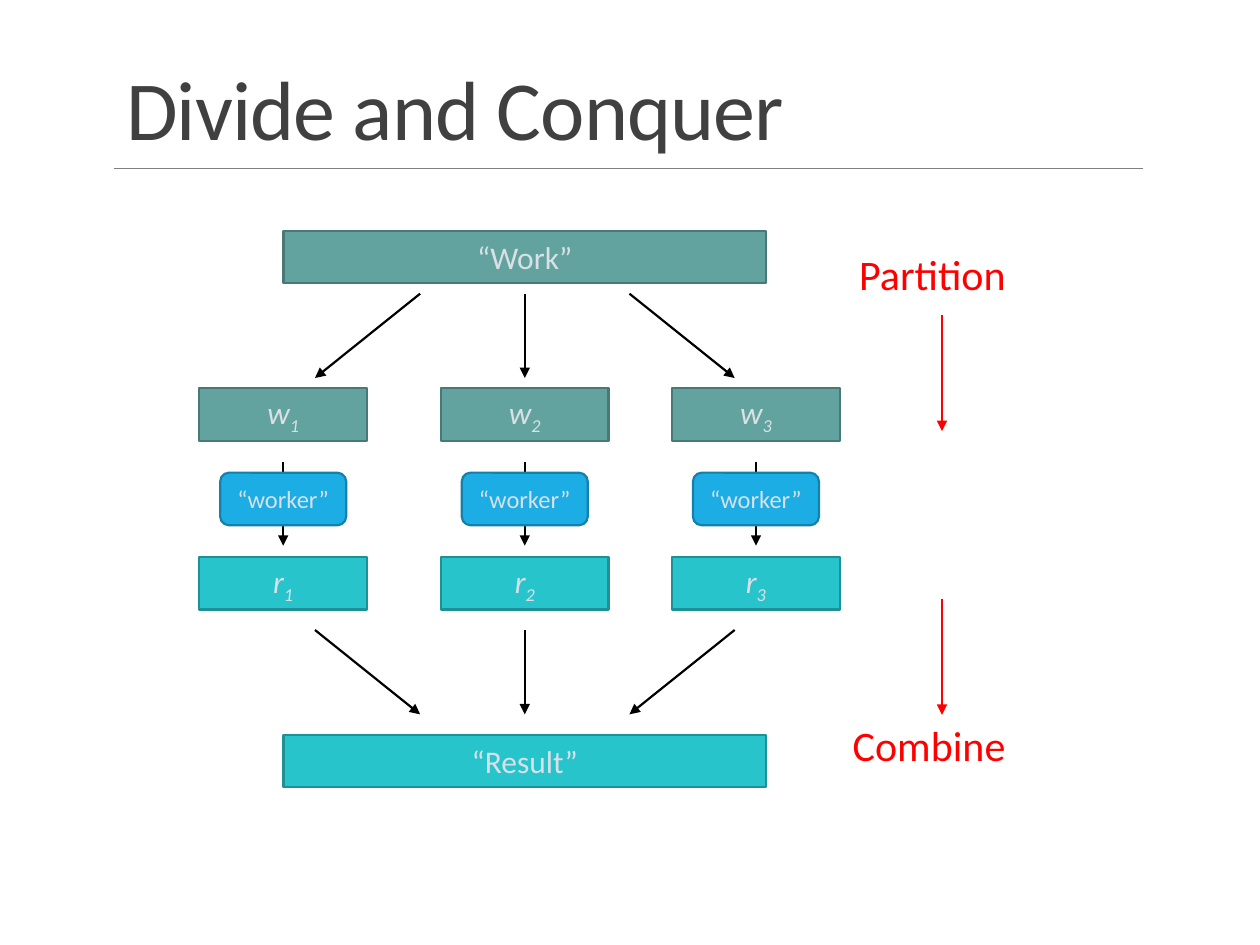
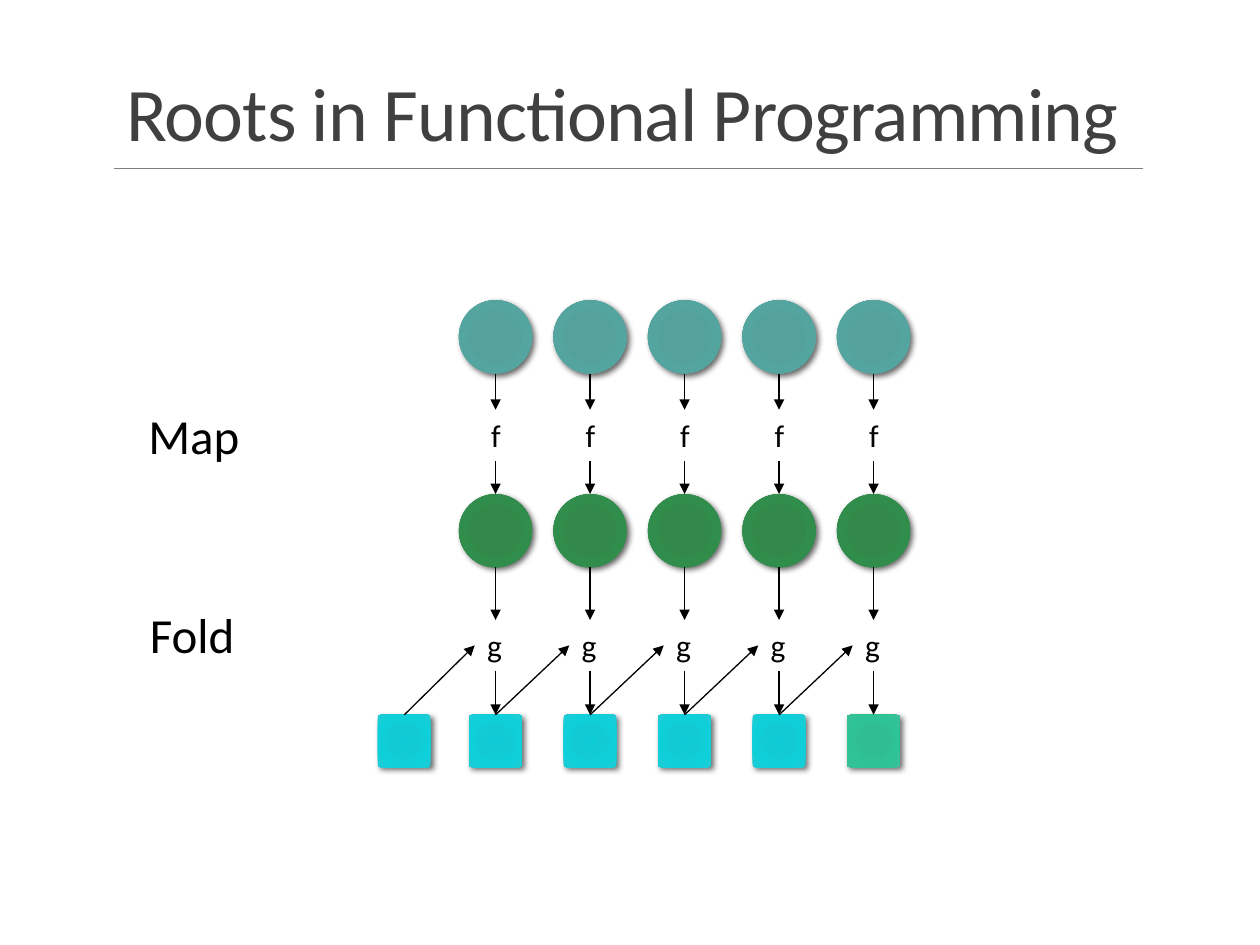
import pptx
import pptx.dml.color
import pptx.enum.shapes
import pptx.enum.text
import pptx.oxml
import pptx.oxml.ns
import pptx.util
from lxml import etree

Cm = pptx.util.Cm
Pt = pptx.util.Pt
qn = pptx.oxml.ns.qn
SHAPES = pptx.enum.shapes.MSO_SHAPE
ANCHOR = pptx.enum.text.MSO_ANCHOR
ALIGN = pptx.enum.text.PP_ALIGN
AUTOSIZE = pptx.enum.text.MSO_AUTO_SIZE

FONT = "Calibri"
BLACK, RED, RULE_GREY = "000000", "FF0000", "808080"
TITLE_INK, BLOCK_INK = "404040", "D9E0E6"
WORK = ("62A39F", "497976")
RESULT = ("28C4CC", "1E9197")
WORKER = ("1CADE4", "1580A9")
STOP_POSITIONS = (0, 34, 70, 100)
INPUT_GLOW = ("52A19C", "55A19C", "54A5A0", "5FA6A2")
MAPPED_GLOW = ("2F8949", "32894A", "318D4B", "3A8C51")
STATE_GLOW = ("0ECBD5", "12CAD3", "0FD0DA", "20CBD4")
FINAL_GLOW = ("2DBE94", "30BD94", "2EC397", "3CC09A")


def rgb(hex_code):
    """Turn a hex string into a colour."""
    return pptx.dml.color.RGBColor.from_string(hex_code)


def apply(target, values):
    """Set each named attribute of the target."""
    for name, value in values.items():
        setattr(target, name, value)


def add_run(paragraph, wording, size, ink, italic=None, **extras):
    """Add a formatted run, with extra run properties such as baseline or spc."""
    run = paragraph.add_run()
    run.text = wording
    apply(run.font, {"name": FONT, "size": Pt(size), "italic": italic})
    run.font.color.rgb = rgb(ink)
    for name, value in extras.items():
        run.font._element.set(name, value)


def add_line(slide, start, end, ink=BLACK, weight=1.25, arrow=True):
    """Draw a straight line between two points, normally with an arrowhead."""
    ends = [Cm(value) for value in (*start, *end)]
    connector = slide.shapes.add_connector(pptx.enum.shapes.MSO_CONNECTOR.STRAIGHT, *ends)
    connector.line.color.rgb = rgb(ink)
    connector.line.width = Pt(weight)
    properties = connector._element.spPr
    if arrow:
        etree.SubElement(properties.find(qn("a:ln")), qn("a:tailEnd"), type="triangle")
    etree.SubElement(properties, qn("a:effectLst"))


def add_label(slide, box, wording, size, ink=BLACK):
    """Place an unwrapped line of text."""
    frame = slide.shapes.add_textbox(*map(Cm, box)).text_frame
    apply(frame, {"word_wrap": False, "auto_size": AUTOSIZE.SHAPE_TO_FIT_TEXT})
    add_run(frame.paragraphs[0], wording, size, ink)


def add_block(slide, box, colours, wording, index=None, size=18, kind=SHAPES.RECTANGLE):
    """Draw an outlined block; an index makes its wording an italic symbol."""
    block = slide.shapes.add_shape(kind, *map(Cm, box))
    block.shadow.inherit = False
    fill, outline = colours
    block.fill.solid()
    block.fill.fore_color.rgb = rgb(fill)
    block.line.color.rgb = rgb(outline)
    block.line.width = Pt(1.25)
    block.text_frame.vertical_anchor = ANCHOR.MIDDLE
    paragraph = block.text_frame.paragraphs[0]
    paragraph.alignment = ALIGN.CENTER
    add_run(paragraph, wording, size, BLOCK_INK, italic=index is not None)
    if index is not None:
        add_run(paragraph, str(index), size, BLOCK_INK, italic=True, baseline="-25000")


def add_glow_shape(slide, kind, box, colours):
    """Draw an unlined shape with a radial gradient and a soft shadow."""
    item = slide.shapes.add_shape(kind, *map(Cm, box))
    item.line.fill.background()
    item.fill.gradient()
    gradient = item._element.spPr.find(qn("a:gradFill"))
    for child in list(gradient):
        gradient.remove(child)
    stops = etree.SubElement(gradient, qn("a:gsLst"))
    for position, colour in zip(STOP_POSITIONS, colours):
        stop = etree.SubElement(stops, qn("a:gs"), pos=str(position * 1000))
        etree.SubElement(stop, qn("a:srgbClr"), val=colour)
    radial = etree.SubElement(gradient, qn("a:path"), {"path": "circle"})
    etree.SubElement(radial, qn("a:fillToRect"), {side: "100000" for side in "ltrb"})
    item.shadow.inherit = False
    shadow = etree.SubElement(item._element.spPr.find(qn("a:effectLst")), qn("a:outerShdw"),
                              blurRad=str(Pt(3.5)), dist=str(Pt(2)), dir="2700000",
                              algn="ctr", rotWithShape="0")
    shade = etree.SubElement(shadow, qn("a:srgbClr"), val=BLACK)
    etree.SubElement(shade, qn("a:alpha"), val="60000")


def add_titled_slide(deck, wording, size):
    """Start a slide with the shared title style and rule."""
    slide = deck.slides.add_slide(deck.slide_layouts[5])
    add_line(slide, (2.29, 3.4), (23.04, 3.4), RULE_GREY, 0.5, arrow=False)
    title = slide.shapes.title
    apply(title, {"left": Cm(2.29), "top": Cm(0.79), "width": Cm(20.96), "height": Cm(2.51)})
    apply(title.text_frame, {"vertical_anchor": ANCHOR.BOTTOM, "word_wrap": True,
                             "auto_size": AUTOSIZE.NONE})
    paragraph = title.text_frame.paragraphs[0]
    apply(paragraph, {"alignment": ALIGN.LEFT, "line_spacing": 0.85})
    add_run(paragraph, wording, size, TITLE_INK, spc="-50")
    return slide


def draw_work_flow(slide, left, top):
    """Draw work split into parts, processed by workers and joined again."""
    height, bar_width, part_width, worker_width = 1.06, 9.73, 3.38, 2.54
    centres = [left + offset for offset in (1.69, 6.56, 11.22)]
    middle = centres[1]
    for y, colours, wording in ((0, WORK, "“Work”"), (10.16, RESULT, "“Result”")):
        add_block(slide, (middle - bar_width / 2, top + y, bar_width, height), colours, wording)
    for index, centre in enumerate(centres, 1):
        for y, colours, symbol in ((3.18, WORK, "w"), (6.58, RESULT, "r")):
            box = (centre - part_width / 2, top + y, part_width, height)
            add_block(slide, box, colours, symbol, index)
        add_line(slide, (centre, top + 4.67), (centre, top + 6.35))
        box = (centre - worker_width / 2, top + 4.88, worker_width, height)
        add_block(slide, box, WORKER, "“worker”", size=14, kind=SHAPES.ROUNDED_RECTANGLE)
    for side in (-1, 0, 1):
        near, far = middle + side * 2.11, middle + side * 4.23
        add_line(slide, (near, top + 1.27), (far, top + 2.97))
        add_line(slide, (far, top + 8.05), (near, top + 9.75))


def draw_phases(slide, left, top):
    """Name the two phases beside the flow, each with its arrow."""
    add_label(slide, (left + 0.13, top, 3.99, 1.3), "Partition", 24, RED)
    add_label(slide, (left, top + 9.5, 4.17, 1.3), "Combine", 24, RED)
    for y in (1.47, 7.19):
        add_line(slide, (left + 2.05, top + y), (left + 2.05, top + y + 2.34), RED, 1.5)


def draw_map_fold(slide, left, top):
    """Draw f mapped over the inputs and g folded along the states."""
    pitch, circle, square, state_y = 1.905, 1.48, 1.06, 8.36
    state_top = top + state_y
    previous = left + square / 2
    add_glow_shape(slide, SHAPES.RECTANGLE, (left, state_top, square, square), STATE_GLOW)
    for column in range(5):
        centre = left + 2.37 + column * pitch
        for y, glow in ((0, INPUT_GLOW), (3.91, MAPPED_GLOW)):
            box = (centre - circle / 2, top + y, circle, circle)
            add_glow_shape(slide, SHAPES.OVAL, box, glow)
        glow = FINAL_GLOW if column == 4 else STATE_GLOW
        box = (centre - square / 2, state_top, square, square)
        add_glow_shape(slide, SHAPES.RECTANGLE, box, glow)
        add_label(slide, (centre - 0.34, top + 2.21, 0.71, 1.02), "f", 18)
        add_label(slide, (centre - 0.42, top + 6.45, 0.81, 1.02), "g", 18)
        for start, end in ((1.48, 2.21), (3.25, 3.91), (5.39, 6.45), (7.47, state_y)):
            add_line(slide, (centre, top + start), (centre, top + end), weight=0.75)
        add_line(slide, (previous, state_top), (centre - 0.42, top + 6.96), weight=0.75)
        previous = centre


def draw_stage_names(slide, left, top):
    """Name the map and fold stages."""
    add_label(slide, (left, top, 2.36, 1.45), "Map", 28)
    add_label(slide, (left + 0.03, top + 4.01, 2.24, 1.45), "Fold", 28)


def main():
    """Build and save the deck."""
    deck = pptx.Presentation()
    apply(deck, {"slide_width": Cm(25.4), "slide_height": Cm(19.05)})
    divide = add_titled_slide(deck, "Divide and Conquer", 48)
    draw_work_flow(divide, 4.02, 4.65)
    draw_phases(divide, 16.94, 4.88)
    roots = add_titled_slide(deck, "Roots in Functional Programming", 43.2)
    draw_map_fold(roots, 7.62, 6.05)
    draw_stage_names(roots, 2.74, 8.05)
    deck.save("out.pptx")


if __name__ == "__main__":
    main()
